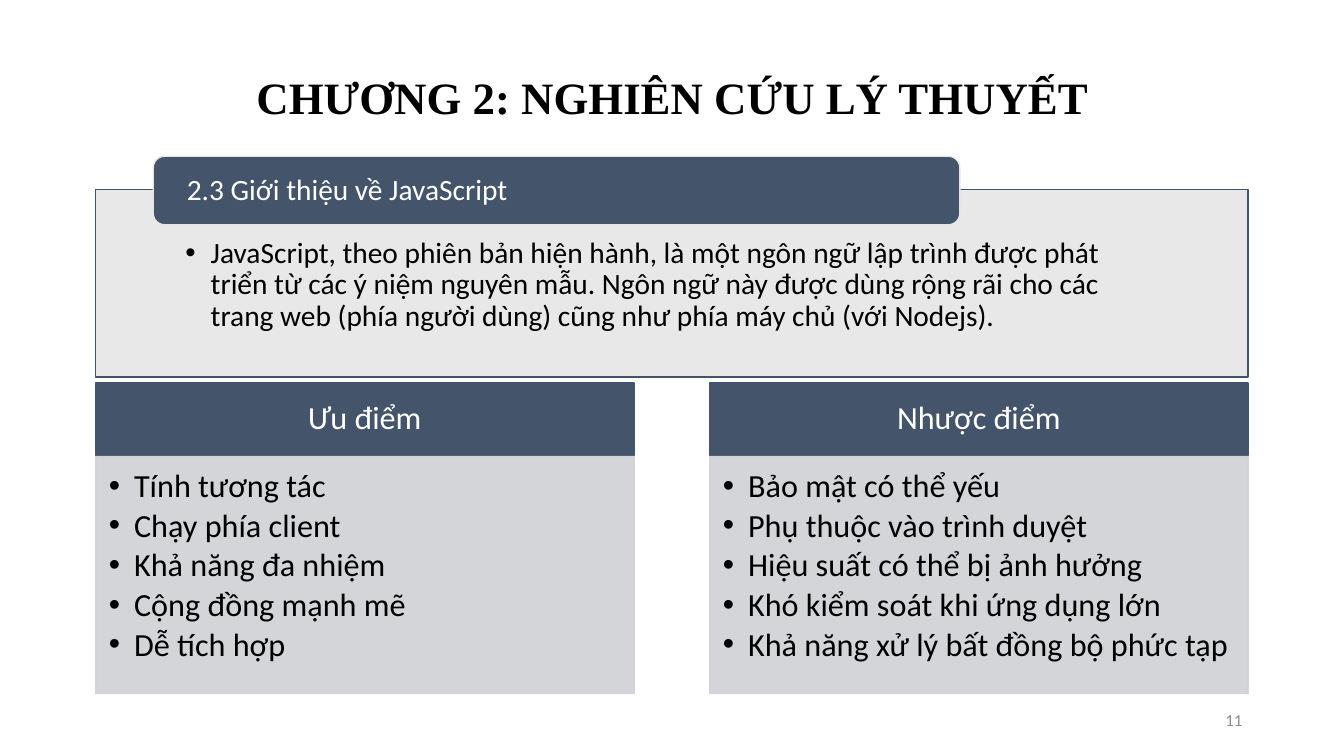
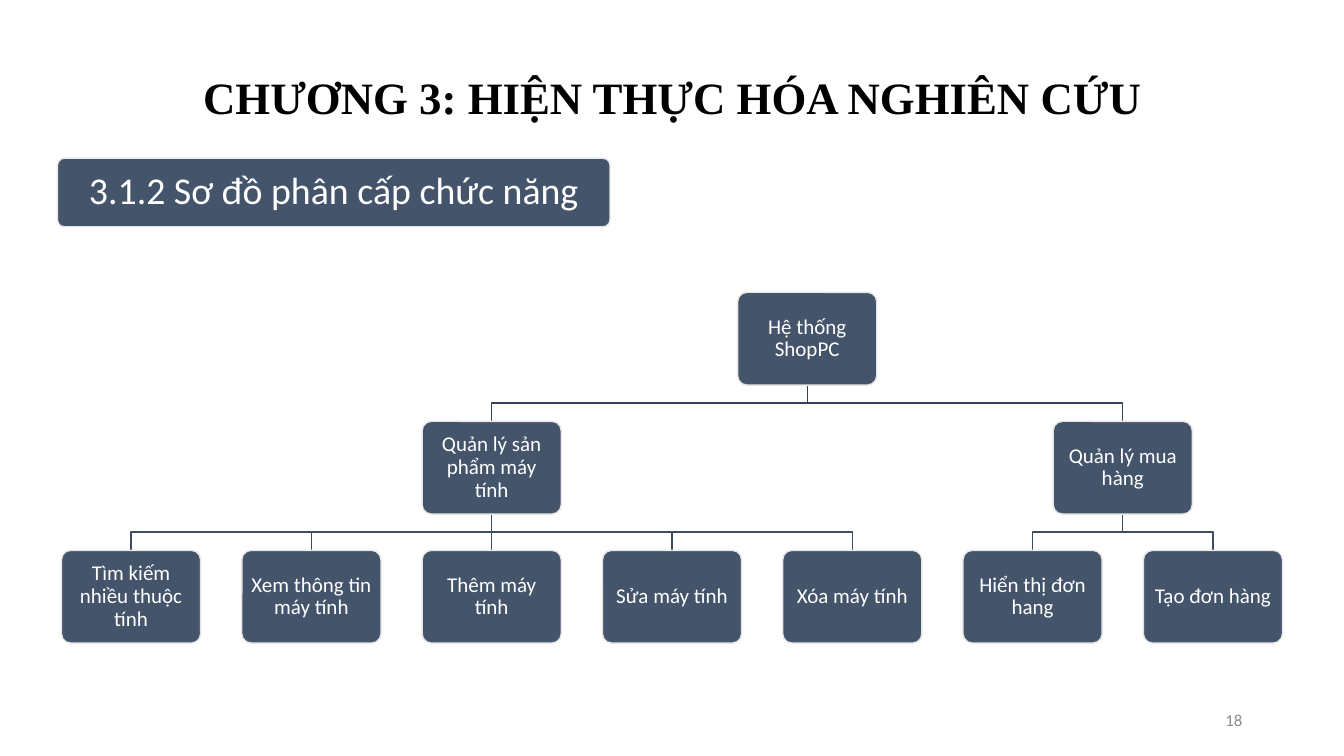
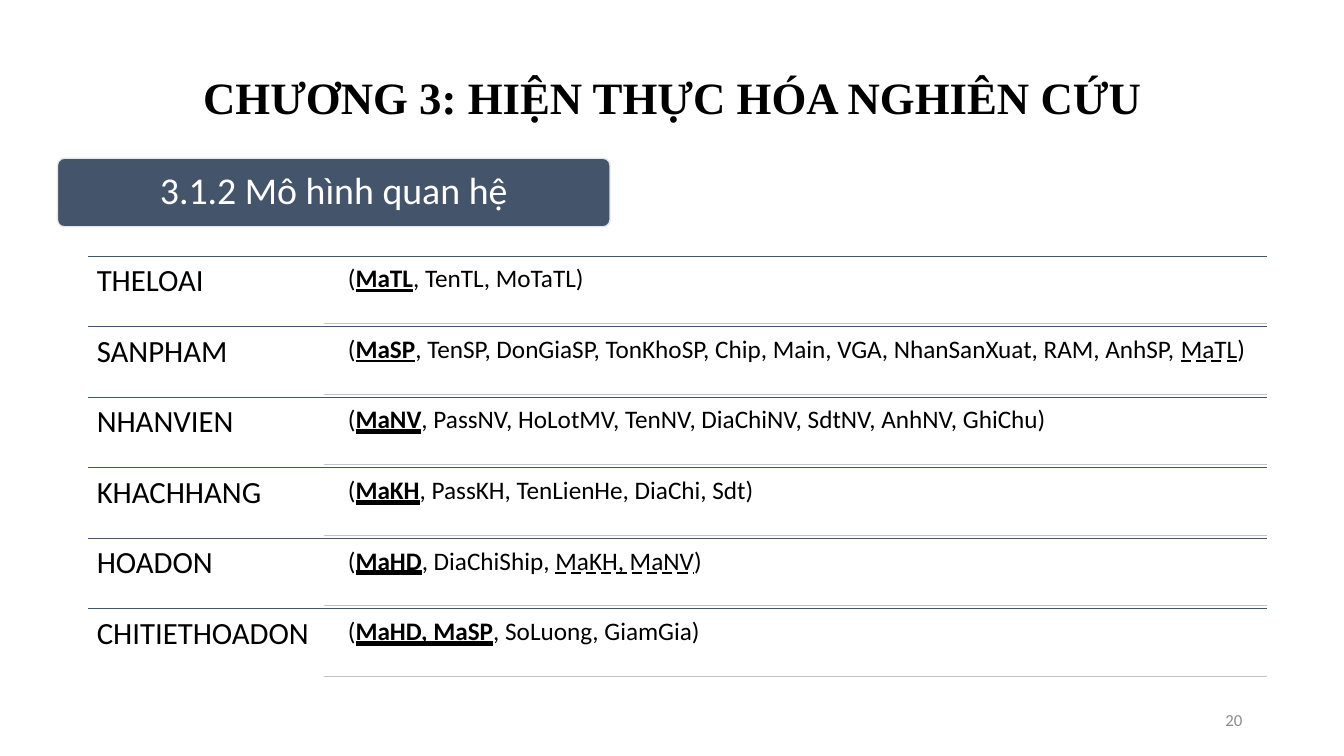
from dataclasses import dataclass

from lxml import etree
from pptx import Presentation
from pptx import util as u
from pptx.dml.color import RGBColor
from pptx.enum import shapes, text
from pptx.oxml.ns import qn


@dataclass(frozen=True)
class Theme:
    navy: str = "44546A"
    upper_branch: str = "364355"
    lower_branch: str = "3E4C60"
    pale: str = "E7E6E6"
    panel: str = "CFD1D4"
    rule: str = "C1C3C7"
    black: str = "000000"
    white: str = "FFFFFF"
    grey: str = "8C8C8C"
    title_font: str = "Times New Roman"
    body_font: str = "Calibri"
    bullet_font: str = "Arial"
    title: int = 32
    section: int = 27
    column: int = 23
    entity: int = 22
    intro: int = 21
    fields: int = 18
    node: int = 15
    number: int = 12


theme = Theme()
RECT = shapes.MSO_SHAPE.RECTANGLE
ROUND = shapes.MSO_SHAPE.ROUNDED_RECTANGLE
LEFT, CENTER, RIGHT = text.PP_ALIGN.LEFT, text.PP_ALIGN.CENTER, text.PP_ALIGN.RIGHT
TOP, MIDDLE = text.MSO_ANCHOR.TOP, text.MSO_ANCHOR.MIDDLE
SINGLE, HEAVY = text.MSO_UNDERLINE.SINGLE_LINE, text.MSO_UNDERLINE.HEAVY_LINE
DASHED = text.MSO_UNDERLINE.DASH_LINE


def add_box(page, at, lines, size, color, kind=None, fill=None, outline=None,
            alpha=None, round_by=None, align=LEFT, anchor=TOP,
            insets=(0.1, 0.05, 0.1, 0.05), bullets=False):
    """Add a text box, or a filled shape when a kind is given."""
    place = [u.Inches(value) for value in at]
    if kind is None:
        box = page.shapes.add_textbox(*place)
    else:
        box = page.shapes.add_shape(kind, *place)
        box.shadow.inherit = False
        box.fill.solid()
        box.fill.fore_color.rgb = RGBColor.from_string(fill)
        box.line.color.rgb = RGBColor.from_string(outline)
        box.line.width = u.Pt(1)
        if round_by is not None:
            box.adjustments[0] = round_by
        if alpha is not None:
            for paint in box._element.spPr.iter(qn("a:srgbClr")):
                if paint.get("val") == fill:
                    etree.SubElement(paint, qn("a:alpha")).set("val", str(alpha * 1000))
    frame = box.text_frame
    frame.word_wrap = True
    frame.vertical_anchor = anchor
    (frame.margin_left, frame.margin_top,
     frame.margin_right, frame.margin_bottom) = [u.Inches(value) for value in insets]
    for index, line in enumerate(lines):
        para = frame.add_paragraph() if index else frame.paragraphs[0]
        para.text = line
        para.alignment = align
        para.line_spacing = 0.9
        if bullets:
            para.space_after = u.Pt(3.5)
            properties = para._p.get_or_add_pPr()
            properties.set("marL", str(u.Inches(0.25)))
            properties.set("indent", str(u.Inches(-0.25)))
            etree.SubElement(properties, qn("a:buFont")).set("typeface", theme.bullet_font)
            etree.SubElement(properties, qn("a:buChar")).set("char", "•")
        para.font.name = theme.body_font
        para.font.size = u.Pt(size)
        para.font.color.rgb = RGBColor.from_string(color)
    return box


def add_rule(page, start, end, color):
    rule = page.shapes.add_connector(
        shapes.MSO_CONNECTOR.STRAIGHT, *[u.Inches(value) for value in start + end])
    rule.line.color.rgb = RGBColor.from_string(color)
    rule.line.width = u.Pt(0.5)
    etree.SubElement(rule._element.spPr, qn("a:effectLst"))


deck = Presentation()
deck.slide_width, deck.slide_height = u.Inches(13.33), u.Inches(7.5)

# Shared parts: title, section tag and page number
pages = []
for heading, section, number in (
    ("CHƯƠNG 2: NGHIÊN CỨU LÝ THUYẾT", None, "11"),
    ("CHƯƠNG 3: HIỆN THỰC HÓA NGHIÊN CỨU", "3.1.2 Sơ đồ phân cấp chức năng", "18"),
    ("CHƯƠNG 3: HIỆN THỰC HÓA NGHIÊN CỨU", "3.1.2 Mô hình quan hệ", "20"),
):
    page = deck.slides.add_slide(deck.slide_layouts[5])
    title = page.shapes.title
    title.left, title.top = u.Inches(1.67), u.Inches(0.76)
    title.width, title.height = u.Inches(10), u.Inches(0.52)
    title.text_frame.text = heading
    title.text_frame.auto_size = text.MSO_AUTO_SIZE.NONE
    title.text_frame.vertical_anchor = text.MSO_ANCHOR.BOTTOM
    para = title.text_frame.paragraphs[0]
    para.alignment, para.line_spacing = CENTER, 0.9
    para.font.name, para.font.size, para.font.bold = theme.title_font, u.Pt(theme.title), True
    para.font.color.rgb = RGBColor.from_string(theme.black)
    if section:
        add_box(page, (0.57, 1.57, 5.48, 0.68), [section], theme.section, theme.white,
                ROUND, theme.navy, theme.pale, round_by=0.1, align=CENTER, anchor=MIDDLE)
    add_box(page, (9.42, 6.95, 3, 0.4), [number], theme.number, theme.grey,
            align=RIGHT, anchor=MIDDLE)
    pages.append(page)
script_page, tree_page, relation_page = pages

# JavaScript: introduction
add_box(script_page, (0.95, 1.88, 11.43, 1.86),
        ["JavaScript, theo phiên bản hiện hành, là một ngôn ngữ lập trình được phát triển "
         "từ các ý niệm nguyên mẫu. Ngôn ngữ này được dùng rộng rãi cho các trang web "
         "(phía người dùng) cũng như phía máy chủ (với Nodejs)."],
        theme.intro, theme.black, RECT, theme.pale, theme.navy, alpha=90,
        insets=(0.89, 0.48, 0.89, 0.16), bullets=True)
add_box(script_page, (1.52, 1.55, 8, 0.68), ["2.3 Giới thiệu về JavaScript"],
        theme.intro, theme.white, ROUND, theme.navy, theme.pale,
        anchor=MIDDLE, insets=(0.3, 0, 0.3, 0))

# JavaScript: strengths and weaknesses
for left, heading, points in (
    (0.95, "Ưu điểm", ["Tính tương tác", "Chạy phía client", "Khả năng đa nhiệm",
                       "Cộng đồng mạnh mẽ", "Dễ tích hợp"]),
    (7.04, "Nhược điểm", ["Bảo mật có thể yếu", "Phụ thuộc vào trình duyệt",
                          "Hiệu suất có thể bị ảnh hưởng",
                          "Khó kiểm soát khi ứng dụng lớn",
                          "Khả năng xử lý bất đồng bộ phức tạp"]),
):
    add_box(script_page, (left, 3.8, 5.34, 0.72), [heading], theme.column, theme.white,
            RECT, theme.navy, theme.navy, align=CENTER, anchor=MIDDLE)
    add_box(script_page, (left, 4.53, 5.34, 2.35), points, theme.column, theme.black,
            RECT, theme.panel, theme.panel, alpha=90,
            insets=(0.13, 0.13, 0.18, 0.2), bullets=True)

# Function tree: each parent sits over the middle of its children
node_width, node_height = 1.38, 0.92
first_center, last_center = 1.3, 12.03
root_top, level_step = 2.9, 1.28
branches = (
    ("Quản lý sản phẩm máy tính", ["Tìm kiếm nhiều thuộc tính", "Xem thông tin máy tính",
                                  "Thêm máy tính", "Sửa máy tính", "Xóa máy tính"]),
    ("Quản lý mua hàng", ["Hiển thị đơn hang", "Tạo đơn hàng"]),
)
leaf_count = sum(len(leaves) for branch, leaves in branches)
column_step = (last_center - first_center) / (leaf_count - 1)
nodes = []
families = []
branch_centers = []
column = 0
for branch, leaves in branches:
    centers = [first_center + column_step * (column + i) for i in range(len(leaves))]
    column += len(leaves)
    middle = (centers[0] + centers[-1]) / 2
    nodes.append((branch, middle, 1))
    nodes += [(leaf, center, 2) for leaf, center in zip(leaves, centers)]
    families.append((middle, 1, centers, theme.lower_branch))
    branch_centers.append(middle)
root_center = sum(branch_centers) / len(branch_centers)
nodes.append(("Hệ thống ShopPC", root_center, 0))
families.append((root_center, 0, branch_centers, theme.upper_branch))

# Function tree: one elbow from each parent to each child
for center, level, child_centers, color in families:
    bottom = root_top + level_step * level + node_height
    child_top = root_top + level_step * (level + 1)
    bend = (bottom + child_top) / 2
    for child in child_centers:
        corners = [(center, bend), (child, bend), (child, child_top)]
        if abs(child - center) < 0.01:
            corners = [(center, child_top)]
        outline = tree_page.shapes.build_freeform(u.Inches(center), u.Inches(bottom))
        outline.add_line_segments([(u.Inches(x), u.Inches(y)) for x, y in corners],
                                  close=False)
        elbow = outline.convert_to_shape()
        elbow.shadow.inherit = False
        elbow.fill.background()
        elbow.line.color.rgb = RGBColor.from_string(color)
        elbow.line.width = u.Pt(1)

for label, center, level in nodes:
    add_box(tree_page, (center - node_width / 2, root_top + level_step * level,
                        node_width, node_height),
            [label], theme.node, theme.white, ROUND, theme.navy, theme.pale,
            round_by=0.1, align=CENTER, anchor=MIDDLE, insets=(0.06, 0.06, 0.06, 0.06))

# Relational model: primary key and its underline, plain fields, foreign keys
relations = (
    ("THELOAI", "MaTL", SINGLE, ", TenTL, MoTaTL", ""),
    ("SANPHAM", "MaSP", SINGLE, ", TenSP, DonGiaSP, TonKhoSP, Chip, Main, VGA, "
                                "NhanSanXuat, RAM, AnhSP, ", "MaTL"),
    ("NHANVIEN", "MaNV", HEAVY, ", PassNV, HoLotMV, TenNV, DiaChiNV, SdtNV, AnhNV, GhiChu", ""),
    ("KHACHHANG", "MaKH", HEAVY, ", PassKH, TenLienHe, DiaChi, Sdt", ""),
    ("HOADON", "MaHD", HEAVY, ", DiaChiShip, ", "MaKH, MaNV"),
    ("CHITIETHOADON", "MaHD, MaSP", HEAVY, ", SoLuong, GiamGia", ""),
)
for row, (entity, primary, key_line, fields, foreign) in enumerate(relations):
    top = 2.54 + 0.7 * row
    add_rule(relation_page, (0.87, top), (12.57, top), theme.navy)
    add_box(relation_page, (0.87, top, 2.34, 0.7), [entity], theme.entity, theme.black,
            insets=(0.09, 0.09, 0.09, 0.09))
    box = add_box(relation_page, (3.38, top + 0.03, 9.18, 0.64), [""], theme.fields,
                  theme.black, insets=(0.07, 0.07, 0.07, 0.07))
    para = box.text_frame.paragraphs[0]
    for words, bold, underline in (
        ("(", None, None),
        (primary, True, key_line),
        (fields, None, None),
        (foreign, None, DASHED),
        (")", None, None),
    ):
        if words:
            span = para.add_run()
            span.text = words
            span.font.bold, span.font.underline = bold, underline
    add_rule(relation_page, (3.21, top + 0.67), (12.57, top + 0.67), theme.rule)

deck.save("out.pptx")
